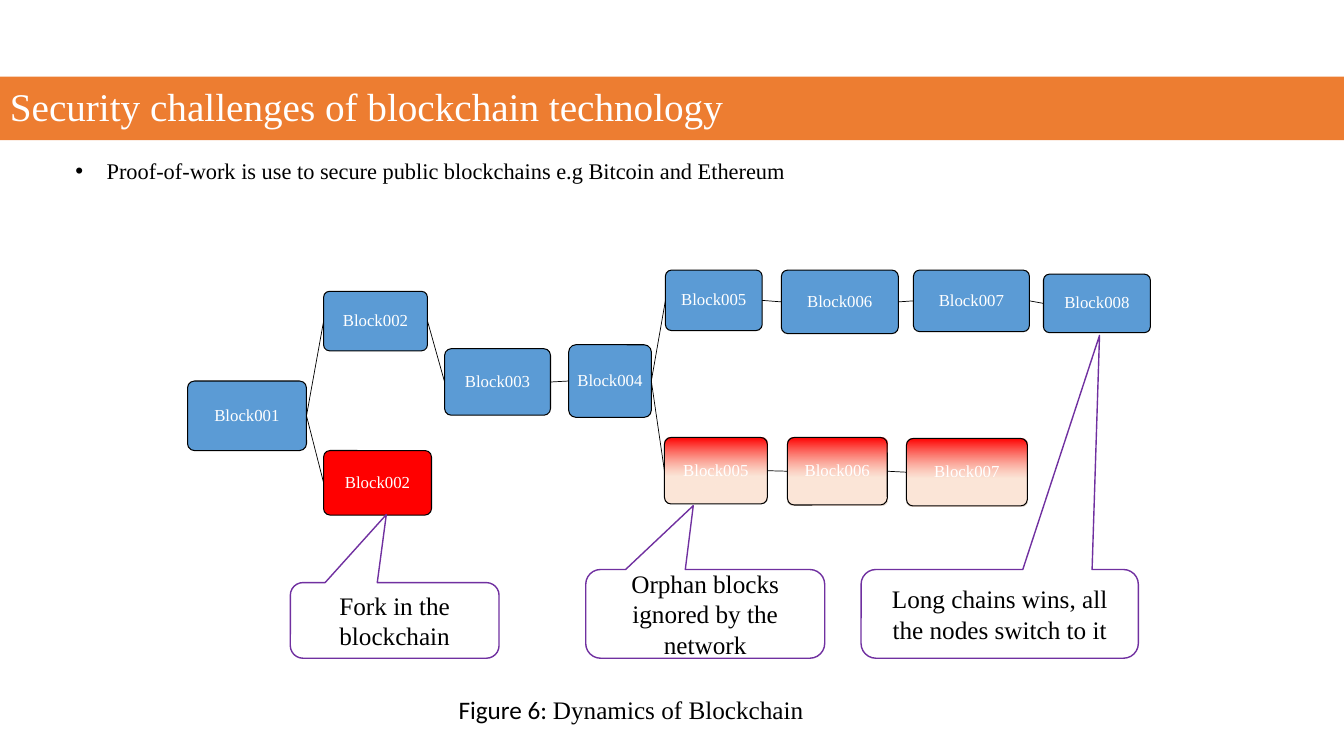
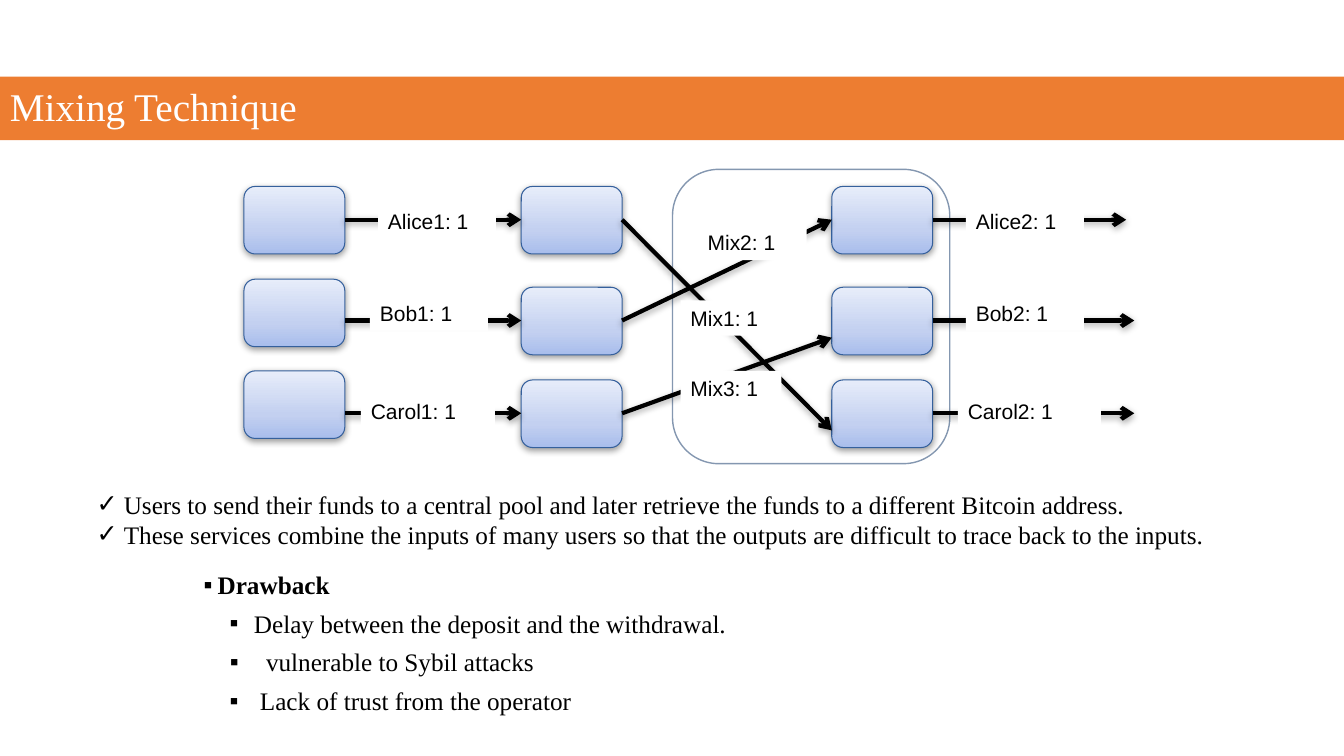
from dataclasses import dataclass
from typing import NamedTuple

import pptx
import pptx.dml.color
import pptx.enum.shapes
import pptx.enum.text
import pptx.oxml
import pptx.oxml.ns
import pptx.oxml.xmlchemy
import pptx.util
from lxml import etree

EMU_PER_PX = 9144  # 100 px to the inch
SLIDE_W, SLIDE_H = 1333, 750
SERIF, SANS, CAPTION = "Times New Roman", "Arial", "Calibri"
COLORS = {
    "band": "ED7D31", "white": "FFFFFF", "black": "000000",
    "block": "5B9BD5", "fork": "FF0000", "callout": "7030A0",
    "wallet_edge": "35609C", "pool_edge": "8497B0",
}
SHAPES = pptx.enum.shapes.MSO_SHAPE
ALIGN = pptx.enum.text.PP_ALIGN
ANCHOR = pptx.enum.text.MSO_ANCHOR
qn = pptx.oxml.ns.qn


class Box(NamedTuple):
    left: int
    top: int
    width: int
    height: int


class Stop(NamedTuple):
    percent: int
    color: str
    alpha: int = 100


class Gradient(NamedTuple):
    angle: int  # counter-clockwise
    stops: tuple[Stop, ...]


class Bullet(NamedTuple):
    text: str
    sign: str
    margin: int
    hanging: int
    bold: bool = False


@dataclass(frozen=True)
class Block:
    key: str
    text: str
    box: Box
    fill: str | Gradient = "block"


@dataclass(frozen=True)
class Callout:
    text: str
    box: Box
    tip: tuple[float, float]


@dataclass(frozen=True)
class Label:
    text: str
    box: Box


ORPHAN_FILL = Gradient(270, (Stop(0, "FF0000"), Stop(59, "F8CBAD", 47)))
WALLET_FILL = Gradient(90, (Stop(0, "A8BDEC"), Stop(35, "C3D0F0"), Stop(100, "E7EDFA")))


# Shared drawing functions
def px(value: float) -> int:
    return pptx.util.Emu(round(value * EMU_PER_PX))


def rgb(name: str):
    return pptx.dml.color.RGBColor.from_string(COLORS[name])


def set_font(font, size: float, color: str = "black", face: str = SERIF, bold: bool = False) -> None:
    font.size, font.name, font.bold = pptx.util.Pt(size), face, bold
    font.color.rgb = rgb(color)


def add_color(parent, color: str, alpha: int) -> None:
    tone = etree.SubElement(parent, qn("a:srgbClr"), val=color)
    if alpha < 100:
        etree.SubElement(tone, qn("a:alpha"), val=str(alpha * 1000))


def set_fill(shape, fill: str | Gradient | None) -> None:
    if fill is None:
        shape.fill.background()
    elif isinstance(fill, str):
        shape.fill.solid()
        shape.fill.fore_color.rgb = rgb(fill)
    else:
        shape.fill.gradient()
        shape.fill.gradient_angle = fill.angle
        stop_list = shape._element.spPr.find(".//" + qn("a:gsLst"))
        for old_stop in list(stop_list):
            stop_list.remove(old_stop)
        for stop in fill.stops:
            mark = etree.SubElement(stop_list, qn("a:gs"), pos=str(stop.percent * 1000))
            add_color(mark, stop.color, stop.alpha)


def add_shadow(effects, alpha: int, distance: float) -> None:
    shadow = etree.SubElement(
        effects, qn("a:outerShdw"), blurRad=str(pptx.util.Pt(5)),
        dist=str(pptx.util.Pt(distance)), dir="5400000", rotWithShape="0")
    add_color(shadow, COLORS["black"], alpha)


def add_box(slide, kind, box: Box, fill: str | Gradient | None,
            edge: str | None = None, edge_pt: float = 0.75):
    shape = slide.shapes.add_shape(kind, *map(px, box))
    shape.shadow.inherit = False
    set_fill(shape, fill)
    if edge:
        shape.line.color.rgb = rgb(edge)
        shape.line.width = pptx.util.Pt(edge_pt)
    else:
        shape.line.fill.background()
    return shape


def write(shape, text: str, size: float, color: str, align=ALIGN.CENTER):
    frame = shape.text_frame
    frame.word_wrap = True
    frame.vertical_anchor = ANCHOR.MIDDLE
    paragraph = frame.paragraphs[0]
    paragraph.text, paragraph.alignment = text, align
    set_font(paragraph.font, size, color)
    return paragraph


def add_line(slide, start: tuple[int, int], end: tuple[int, int], width: float):
    line = slide.shapes.add_connector(
        pptx.enum.shapes.MSO_CONNECTOR.STRAIGHT, *map(px, (*start, *end)))
    line.line.color.rgb = rgb("black")
    line.line.width = pptx.util.Pt(width)
    effects = etree.SubElement(line._element.spPr, qn("a:effectLst"))
    return line, effects


def add_text_area(slide, box: Box, wrap: bool = True):
    area = slide.shapes.add_textbox(*map(px, box))
    area.text_frame.word_wrap = wrap
    return area


def add_bullets(slide, box: Box, bullets: list[Bullet], size: float, gap: float = 0) -> None:
    frame = add_text_area(slide, box).text_frame
    for index, bullet in enumerate(bullets):
        paragraph = frame.add_paragraph() if index else frame.paragraphs[0]
        paragraph.text = bullet.text
        props = paragraph._p.get_or_add_pPr()
        props.set("marL", str(px(bullet.margin)))
        props.set("indent", str(-px(bullet.hanging)))
        etree.SubElement(props, qn("a:buFont"), typeface=SANS)
        etree.SubElement(props, qn("a:buChar"), char=bullet.sign)
        if index and gap:
            paragraph.space_before = pptx.util.Pt(gap)
        set_font(paragraph.font, size, bold=bullet.bold)


def add_titled_slide(deck, title: str):
    slide = deck.slides.add_slide(deck.slide_layouts[6])
    band = add_box(slide, SHAPES.RECTANGLE, Box(0, 76, SLIDE_W, 63), "band")
    write(band, title, 28, "white", ALIGN.LEFT).line_spacing = 0.9
    return slide


# Slide 1: forks and orphan blocks
BLOCKS = [
    Block("1", "Block001", Box(186, 378, 118, 69)),
    Block("2", "Block002", Box(321, 289, 103, 59)),
    Block("3", "Block003", Box(441, 346, 105, 66)),
    Block("4", "Block004", Box(564, 342, 82, 72)),
    Block("5", "Block005", Box(660, 268, 96, 60)),
    Block("6", "Block006", Box(775, 268, 116, 63)),
    Block("7", "Block007", Box(906, 268, 115, 61)),
    Block("8", "Block008", Box(1035, 272, 106, 58)),
    Block("orphan5", "Block005", Box(659, 434, 102, 66), ORPHAN_FILL),
    Block("orphan6", "Block006", Box(781, 434, 99, 67), ORPHAN_FILL),
    Block("orphan7", "Block007", Box(899, 435, 120, 67), ORPHAN_FILL),
    Block("fork2", "Block002", Box(321, 447, 107, 64), "fork"),
]
CHAINS = [
    ("1", "2", "3", "4", "5", "6", "7", "8"),
    ("4", "orphan5", "orphan6", "orphan7"),
    ("1", "fork2"),
]
CALLOUTS = [
    Callout("Fork in the blockchain", Box(288, 578, 207, 75), (-0.04, -1.4)),
    Callout("Long chains wins, all the nodes switch to it", Box(854, 565, 275, 88), (0.36, -3.14)),
    Callout("Orphan blocks ignored by the network", Box(581, 565, 237, 88), (-0.05, -1.22)),
]


def build_security(deck) -> None:
    slide = add_titled_slide(deck, "Security challenges of blockchain technology")
    drawn = {}
    for block in BLOCKS:
        shape = add_box(slide, SHAPES.ROUNDED_RECTANGLE, block.box, block.fill, "black")
        shape.adjustments[0] = 0.1
        frame = shape.text_frame
        frame.margin_left = frame.margin_right = frame.margin_top = frame.margin_bottom = px(1)
        write(shape, block.text, 12, "white").line_spacing = 0.9
        drawn[block.key] = shape
    for chain in CHAINS:
        for earlier, later in zip(chain, chain[1:]):
            link, _ = add_line(slide, (0, 0), (1, 1), 0.5)
            link.begin_connect(drawn[earlier], 3)  # right side
            link.end_connect(drawn[later], 1)  # left side
    for callout in CALLOUTS:
        bubble = add_box(slide, SHAPES.ROUNDED_RECTANGULAR_CALLOUT, callout.box,
                         "white", "callout", 1)
        bubble.adjustments[0], bubble.adjustments[1] = callout.tip
        write(bubble, callout.text, 18, "black")
    add_bullets(slide, Box(65, 151, 984, 37), [Bullet(
        "Proof-of-work is use to secure public blockchains e.g Bitcoin and Ethereum",
        "•", 31, 31)], 16)
    caption = add_text_area(slide, Box(445, 684, 366, 40), wrap=False).text_frame.paragraphs[0]
    for text, face in (("Figure 6: ", CAPTION), ("Dynamics of Blockchain", SERIF)):
        run = caption.add_run()
        run.text = text
        set_font(run.font, 18, face=face)


# Slide 2: mixing of coins
WALLET_COLUMNS = {242: (185, 277, 368), 517: (185, 285, 377), 825: (185, 285, 377)}
ARROWS = [
    *(((342, y), (517, y)) for y in (218, 318, 410)),
    ((617, 218), (825, 427)), ((617, 410), (825, 335)), ((617, 318), (825, 218)),
    ((925, 218), (1117, 218)), ((925, 318), (1125, 318)), ((925, 410), (1125, 410)),
]
LABELS = [
    Label("Alice1: 1", Box(375, 202, 117, 35)),
    Label("Bob1: 1", Box(367, 293, 117, 35)),
    Label("Carol1: 1", Box(358, 390, 133, 35)),
    Label("Mix2: 1", Box(692, 223, 108, 35)),
    Label("Mix1: 1", Box(675, 298, 108, 35)),
    Label("Mix3: 1", Box(675, 368, 100, 35)),
    Label("Alice2: 1", Box(958, 202, 117, 35)),
    Label("Bob2: 1", Box(958, 293, 117, 35)),
    Label("Carol2: 1", Box(950, 390, 142, 35)),
]


def build_mixing(deck) -> None:
    slide = add_titled_slide(deck, "Mixing Technique")
    for left, tops in WALLET_COLUMNS.items():
        for top in tops:
            wallet = add_box(slide, SHAPES.ROUNDED_RECTANGLE, Box(left, top, 100, 67),
                             WALLET_FILL, "wallet_edge")
            add_shadow(wallet._element.spPr.find(qn("a:effectLst")), 38, 1.6)
    add_box(slide, SHAPES.ROUNDED_RECTANGLE, Box(667, 168, 275, 292), None, "pool_edge", 1)
    for start, end in ARROWS:
        arrow, effects = add_line(slide, start, end, 3)
        etree.SubElement(arrow._element.spPr.find(qn("a:ln")), qn("a:tailEnd"), type="arrow")
        add_shadow(effects, 35, 1.8)
    for label in LABELS:
        plate = add_text_area(slide, label.box)
        set_fill(plate, "white")
        paragraph = plate.text_frame.paragraphs[0]
        paragraph.text = label.text
        set_font(paragraph.font, 15, face=SANS)
    add_bullets(slide, Box(86, 480, 1157, 71), [Bullet(text, "✓", 27, 27) for text in (
        "Users to send their funds to a central pool and later retrieve the funds "
        "to a different Bitcoin address.",
        "These services combine the inputs of many users so that the outputs are "
        "difficult to trace back to the inputs.",
    )], 18)
    add_bullets(slide, Box(192, 560, 958, 162), [
        Bullet("Drawback", "▪", 14, 14, bold=True),
        Bullet("Delay between the deposit and the withdrawal.", "▪", 50, 24),
        Bullet("vulnerable to Sybil attacks", "▪", 62, 36),
        Bullet("Lack of trust from the operator", "▪", 56, 30),
    ], 18, gap=6)


def main() -> None:
    deck = pptx.Presentation()
    deck.slide_width, deck.slide_height = px(SLIDE_W), px(SLIDE_H)
    build_security(deck)
    build_mixing(deck)
    deck.save("out.pptx")


if __name__ == "__main__":
    main()
